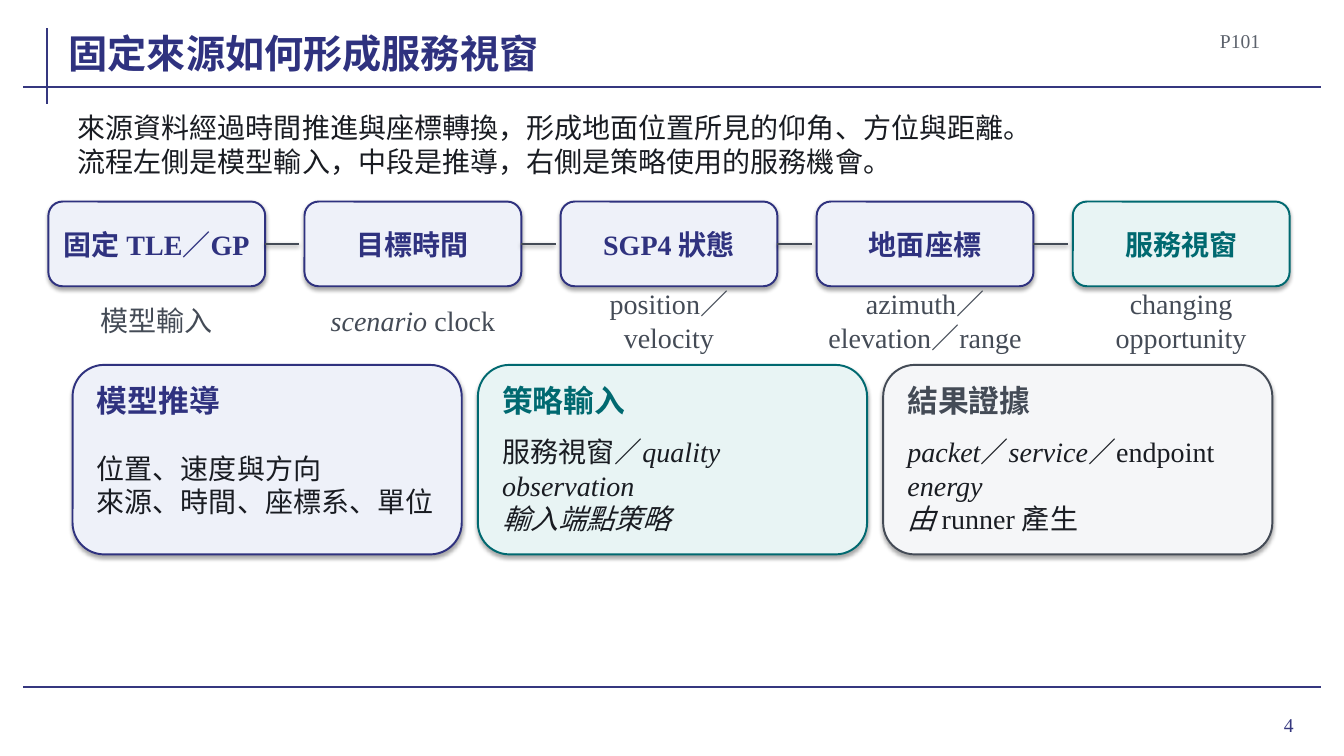
from lxml import etree
from pptx import Presentation
from pptx.dml.color import RGBColor
from pptx.enum.shapes import MSO_CONNECTOR, MSO_SHAPE
from pptx.enum.text import MSO_ANCHOR, MSO_AUTO_SIZE, PP_ALIGN
from pptx.oxml.ns import qn
from pptx.util import Inches, Pt

LEFT, CENTER, RIGHT = PP_ALIGN.LEFT, PP_ALIGN.CENTER, PP_ALIGN.RIGHT
MIDDLE, BOTTOM = MSO_ANCHOR.MIDDLE, MSO_ANCHOR.BOTTOM
GROW, FIXED = MSO_AUTO_SIZE.SHAPE_TO_FIT_TEXT, MSO_AUTO_SIZE.NONE
ROUNDED, STRAIGHT = MSO_SHAPE.ROUNDED_RECTANGLE, MSO_CONNECTOR.STRAIGHT

FONT = "Times New Roman"
NAVY = RGBColor(0x2F, 0x32, 0x7F)
RULE = RGBColor(0x35, 0x37, 0x7F)
TEAL = RGBColor(0x00, 0x69, 0x70)
SLATE = RGBColor(0x44, 0x4B, 0x56)
GRAY = RGBColor(0x5C, 0x62, 0x6C)
INK = RGBColor(0x19, 0x1C, 0x22)
PALE_BLUE = RGBColor(0xEE, 0xF1, 0xF9)
PALE_TEAL = RGBColor(0xE8, 0xF4, 0xF4)
PALE_GRAY = RGBColor(0xF5, 0xF6, 0xF8)

TITLE = "固定來源如何形成服務視窗"
PAGE_CODE = "P101"
PAGE_NUMBER = "4"
INTRO = [
    [("來源資料經過時間推進與座標轉換，形成地面位置所見的仰角、方位與距離。", False)],
    [("流程左側是模型輸入，中段是推導，右側是策略使用的服務機會。", False)],
]
STEPS = [
    ("固定 TLE／GP", "模型輸入", NAVY, PALE_BLUE),
    ("目標時間", [[("scenario ", True), ("clock", False)]], NAVY, PALE_BLUE),
    ("SGP4 狀態", "position／velocity", NAVY, PALE_BLUE),
    ("地面座標", "azimuth／elevation／range", NAVY, PALE_BLUE),
    ("服務視窗", "changing opportunity", TEAL, PALE_TEAL),
]
CARDS = [
    ("模型推導", [[("位置、速度與方向", False)],
              [("來源、時間、座標系、單位", False)]], NAVY, PALE_BLUE),
    ("策略輸入", [[("服務視窗／", False), ("quality observation", True)],
              [("輸入端點策略", True)]], TEAL, PALE_TEAL),
    ("結果證據", [[("packet", True), ("／", False), ("service", True),
               ("／endpoint ", False), ("energy", True)],
              [("由", True), (" runner 產生", False)]], SLATE, PALE_GRAY),
]
RULES = [(0.47, 0.28, 0.47, 1.03), (0.23, 0.86, 13.1, 0.86), (0.23, 6.82, 13.1, 6.82)]

STEP_LEFT, STEP_TOP, STEP_WIDTH, STEP_HEIGHT, STEP_PITCH = 0.48, 2, 2.15, 0.84, 2.54
LINK_LENGTH = 0.34
CARD_LEFT, CARD_TOP, CARD_WIDTH, CARD_HEIGHT, CARD_PITCH = 0.72, 3.62, 3.86, 1.88, 4.02


def set_shadow(shape, alpha=None, distance=0):
    effects = etree.SubElement(shape.element.spPr, qn("a:effectLst"))
    if alpha is None:
        return
    shadow = etree.SubElement(effects, qn("a:outerShdw"), blurRad=str(Pt(3.1)),
                              dist=str(Pt(distance)), dir="5400000",
                              algn="ctr", rotWithShape="0")
    color = etree.SubElement(shadow, qn("a:srgbClr"), val="000000")
    etree.SubElement(color, qn("a:alpha"), val=str(alpha * 1000))


def write_text(shape, text, size=20, color=INK, bold=False, align=LEFT,
               anchor=MIDDLE, inset=0.04, wrap=True, auto_size=GROW):
    frame = shape.text_frame
    frame.word_wrap = wrap
    frame.auto_size = auto_size
    frame.vertical_anchor = anchor
    frame.margin_left = frame.margin_right = Inches(inset)
    frame.margin_top = frame.margin_bottom = Inches(inset)
    paragraph = frame.paragraphs[0]
    paragraph.alignment = align
    lines = [[(text, False)]] if isinstance(text, str) else text
    for index, line in enumerate(lines):
        if index:
            paragraph.add_line_break()
        for words, italic in line:
            run = paragraph.add_run()
            run.text = words
            run.font.name = FONT
            run.font.size = Pt(size)
            run.font.bold = bold
            run.font.italic = italic
            run.font.color.rgb = color


def add_text(slide, box, text, **text_format):
    shape = slide.shapes.add_textbox(*map(Inches, box))
    write_text(shape, text, **text_format)


def add_line(slide, ends, color, **shadow):
    line = slide.shapes.add_connector(STRAIGHT, *map(Inches, ends))
    line.line.color.rgb = color
    line.line.width = Pt(1.5)
    set_shadow(line, **shadow)


def add_panel(slide, box, color, fill):
    panel = slide.shapes.add_shape(ROUNDED, *map(Inches, box))
    panel.fill.solid()
    panel.fill.fore_color.rgb = fill
    panel.line.color.rgb = color
    panel.line.width = Pt(1.4)
    set_shadow(panel, alpha=35, distance=1.8)


def add_step(slide, index, name, caption, color, fill):
    left = STEP_LEFT + index * STEP_PITCH
    add_panel(slide, (left, STEP_TOP, STEP_WIDTH, STEP_HEIGHT), color, fill)
    add_text(slide, (left + 0.1, STEP_TOP + 0.08, STEP_WIDTH - 0.2, STEP_HEIGHT - 0.16),
             name, color=color, bold=True, align=CENTER)
    add_text(slide, (left, STEP_TOP + 0.94, STEP_WIDTH, 0.48),
             caption, color=SLATE, align=CENTER)
    if index < len(STEPS) - 1:
        start, middle = left + STEP_WIDTH, STEP_TOP + STEP_HEIGHT / 2
        add_line(slide, (start, middle, start + LINK_LENGTH, middle), SLATE,
                 alpha=38, distance=1.6)


def add_card(slide, index, heading, body, color, fill):
    left = CARD_LEFT + index * CARD_PITCH
    add_panel(slide, (left, CARD_TOP, CARD_WIDTH, CARD_HEIGHT), color, fill)
    add_text(slide, (left + 0.2, CARD_TOP + 0.16, CARD_WIDTH - 0.4, 0.38),
             heading, size=22, color=color, bold=True)
    add_text(slide, (left + 0.2, CARD_TOP + 0.64, CARD_WIDTH - 0.4, 1.1), body)


def main():
    presentation = Presentation()
    presentation.slide_width = Inches(13.33)
    presentation.slide_height = Inches(7.5)
    slide = presentation.slides.add_slide(presentation.slide_layouts[5])

    for ends in RULES:
        add_line(slide, ends, RULE)
    add_text(slide, (11.96, 6.93, 0.97, 0.52), PAGE_NUMBER, size=14, color=RULE,
             align=RIGHT, inset=0.1, auto_size=FIXED)

    title = slide.shapes.title
    title.left, title.top, title.width, title.height = map(Inches, (0.68, 0.18, 10.9, 0.58))
    write_text(title, TITLE, size=28, color=NAVY, bold=True, anchor=BOTTOM,
               inset=0, wrap=False, auto_size=FIXED)
    add_text(slide, (11.72, 0.27, 0.82, 0.26), PAGE_CODE, size=14, color=GRAY, align=RIGHT)
    add_text(slide, (0.76, 1.12, 11.78, 0.62), INTRO, inset=0.01)

    for index, step in enumerate(STEPS):
        add_step(slide, index, *step)
    for index, card in enumerate(CARDS):
        add_card(slide, index, *card)
    presentation.save("out.pptx")


if __name__ == "__main__":
    main()
